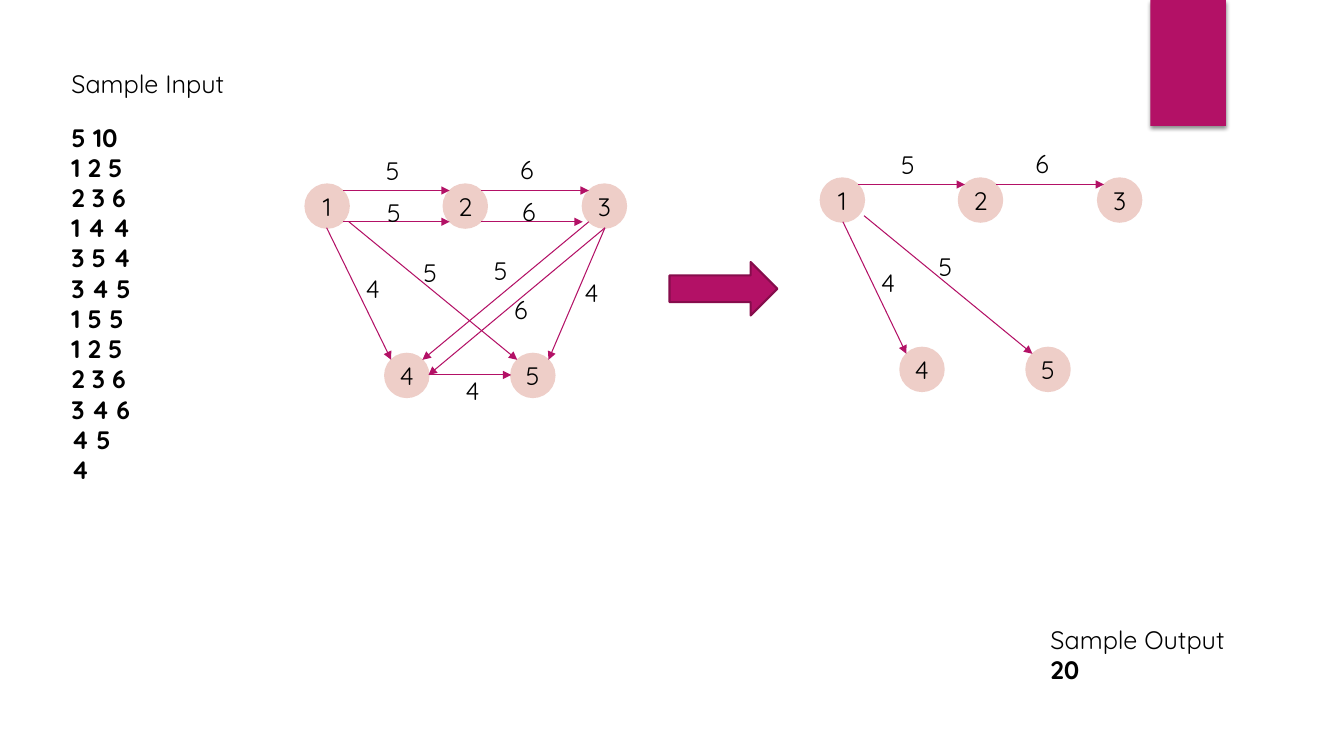
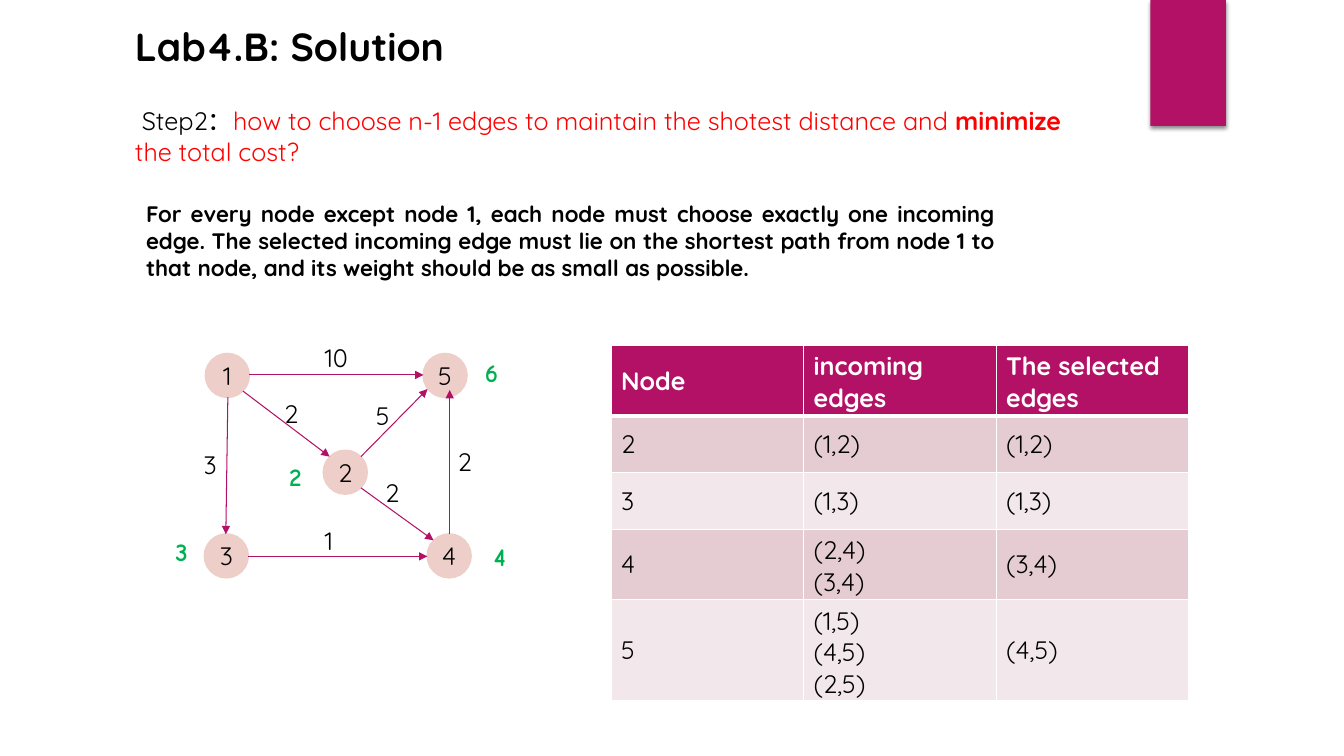
from dataclasses import dataclass

from lxml import etree
from pptx import Presentation
from pptx.dml.color import RGBColor
from pptx.enum.shapes import MSO_CONNECTOR, MSO_SHAPE
from pptx.enum.text import MSO_ANCHOR, PP_ALIGN
from pptx.oxml import parse_xml
from pptx.oxml.ns import nsdecls, qn
from pptx.slide import Slide
from pptx.util import Emu, Pt

PX = 9144  # EMU in one px, 100 px to the inch
RECT, OVAL, ARROW = MSO_SHAPE.RECTANGLE, MSO_SHAPE.OVAL, MSO_SHAPE.RIGHT_ARROW
LINE = MSO_CONNECTOR.STRAIGHT
MIDDLE, TOP = MSO_ANCHOR.MIDDLE, MSO_ANCHOR.TOP
LEFT, CENTER, JUSTIFY = PP_ALIGN.LEFT, PP_ALIGN.CENTER, PP_ALIGN.JUSTIFY


@dataclass(frozen=True)
class Theme:
    font: str = "Quicksand"
    hand: str = "Comic Neue"
    ink: str = "000000"
    white: str = "FFFFFF"
    berry: str = "B31166"
    dark: str = "860D4C"
    blush: str = "EECEC8"
    red: str = "FF0000"
    green: str = "00B050"
    bands: tuple[str, str] = ("E5CCD3", "F2E7EA")
    title: int = 28
    body: int = 18
    note: int = 16


T = Theme()


@dataclass(frozen=True)
class Box:
    x: int
    y: int
    w: int
    h: int

    def emu(self) -> list[Emu]:
        return [Emu(v * PX) for v in (self.x, self.y, self.w, self.h)]


@dataclass(frozen=True)
class Span:
    text: str
    color: str = T.ink
    bold: bool = False
    size: int = T.body
    font: str = T.font


@dataclass(frozen=True)
class Edge:
    """A weighted arrow between two node sites; x and y place its label."""
    start: str
    leave: str
    end: str
    enter: str
    cost: str
    x: int
    y: int


Para = list[Span]
Nodes = dict[str, tuple[int, int]]

SIZE = 43  # node diameter
DIAG = 0.71
SITES = {
    "n": (0, -1), "ne": (DIAG, -DIAG), "e": (1, 0), "se": (DIAG, DIAG),
    "s": (0, 1), "sw": (-DIAG, DIAG), "w": (-1, 0), "nw": (-DIAG, -DIAG),
    "low e": (1, DIAG), "low w": (-1, DIAG),
    "in s": (0.2, 0.67), "out sw": (-0.81, 0.63),
}

FLOW: Nodes = {"1": (303, 183), "2": (440, 183), "3": (578, 183),
               "4": (382, 351), "5": (507, 351)}
KEPT = [
    Edge("1", "s", "4", "nw", "4", 353, 266),
    Edge("1", "ne", "2", "nw", "5", 373, 149),
    Edge("2", "ne", "3", "nw", "6", 506, 148),
    Edge("1", "low e", "5", "nw", "5", 410, 250),
]
SPARE = [
    Edge("2", "se", "3", "low w", "6", 508, 190),
    Edge("3", "s", "5", "ne", "4", 570, 270),
    Edge("1", "se", "2", "sw", "5", 374, 191),
    Edge("3", "sw", "4", "ne", "5", 480, 248),
    Edge("3", "s", "4", "e", "6", 500, 287),
    Edge("4", "e", "5", "w", "4", 452, 367),
]
INPUT = ["5 10", "1 2 5", "2 3 6", "1 4 4", "3 5 4", "3 4 5",
         "1 5 5", "1 2 5", "2 3 6", "3 4 6", "4 5 4"]

PATHS: Nodes = {"1": (204, 351), "2": (321, 447), "3": (203, 530),
                "4": (424, 530), "5": (420, 351)}
ROADS = [
    Edge("2", "se", "4", "nw", "2", 372, 469),
    Edge("1", "se", "2", "nw", "2", 272, 390),
    Edge("1", "s", "3", "n", "3", 192, 441),
    Edge("3", "e", "4", "w", "1", 312, 516),
    Edge("1", "e", "5", "w", "10", 312, 335),
    Edge("4", "n", "5", "in s", "2", 444, 438),
    Edge("2", "ne", "5", "out sw", "5", 363, 392),
]
DISTS = [("3", 164, 527), ("4", 480, 532), ("6", 471, 350), ("2", 277, 453)]
CHOICE = [
    ("Node", "incoming edges", "The selected edges"),
    ("2", "(1,2)", "(1,2)"),
    ("3", "(1,3)", "(1,3)"),
    ("4", "(2,4)\n(3,4)", "(3,4)"),
    ("5", "(1,5)\n(4,5)\n(2,5)", "(4,5)"),
]


def rgb(color: str) -> RGBColor:
    return RGBColor.from_string(color)


def write(frame, paras: list[Para], align=LEFT) -> None:
    for i, spans in enumerate(paras):
        para = frame.paragraphs[0] if i == 0 else frame.add_paragraph()
        para.alignment = align
        for span in spans:
            run = para.add_run()
            run.text = span.text
            form = {"name": span.font, "size": Pt(span.size), "bold": span.bold}
            for key, value in form.items():
                setattr(run.font, key, value)
            run.font.color.rgb = rgb(span.color)


def text(slide: Slide, box: Box, paras: list[Para], align=LEFT, anchor=TOP) -> None:
    frame = slide.shapes.add_textbox(*box.emu()).text_frame
    frame.word_wrap = True
    frame.vertical_anchor = anchor
    write(frame, paras, align)


def solid(slide: Slide, kind, box: Box, fill: str, edge: str = ""):
    shape = slide.shapes.add_shape(kind, *box.emu())
    shape.shadow.inherit = False
    shape.fill.solid()
    shape.fill.fore_color.rgb = rgb(fill)
    if edge:
        shape.line.color.rgb = rgb(edge)
        shape.line.width = Pt(1.5)
    else:
        shape.line.fill.background()
    return shape


def tag(slide: Slide) -> None:
    """Draw the shadowed band at the top right that all slides share."""
    band = solid(slide, RECT, Box(1141, 0, 75, 125), T.berry)
    glow = band._element.spPr.find(qn("a:effectLst"))
    glow.append(parse_xml(
        f'<a:outerShdw {nsdecls("a")} blurRad="38100" dist="25400" dir="5400000" '
        'rotWithShape="0"><a:srgbClr val="000000"><a:alpha val="45000"/>'
        '</a:srgbClr></a:outerShdw>'))


def arrow(slide: Slide, start: tuple[int, int], end: tuple[int, int]) -> None:
    line = slide.shapes.add_connector(LINE, *[Emu(v * PX) for v in (*start, *end)])
    line.line.color.rgb = rgb(T.berry)
    line.line.width = Pt(0.75)
    etree.SubElement(line.line._get_or_add_ln(), qn("a:tailEnd"), type="triangle")
    etree.SubElement(line._element.spPr, qn("a:effectLst"))


def point(node: tuple[int, int], site: str) -> tuple[int, int]:
    dx, dy = SITES[site]
    half = SIZE / 2
    return round(node[0] + half * (1 + dx)), round(node[1] + half * (1 + dy))


def graph(slide: Slide, nodes: Nodes, edges: list[Edge], dx: int = 0, dy: int = 0) -> None:
    """Draw nodes, arrows and weights, all moved by dx and dy."""
    spots = {name: (x + dx, y + dy) for name, (x, y) in nodes.items()}
    for name, (x, y) in spots.items():
        disc = solid(slide, OVAL, Box(x, y, SIZE, SIZE), T.blush, T.blush)
        frame = disc.text_frame
        frame.vertical_anchor = MIDDLE
        for side in ("left", "right", "top", "bottom"):
            setattr(frame, f"margin_{side}", 0)
        write(frame, [[Span(name)]], CENTER)
    for edge in edges:
        arrow(slide, point(spots[edge.start], edge.leave),
              point(spots[edge.end], edge.enter))
        text(slide, Box(edge.x + dx, edge.y + dy, 49, 40), [[Span(edge.cost)]])


def border(cell, low: int) -> None:
    """Give a cell white rules, the bottom one low points wide."""
    props = cell._tc.get_or_add_tcPr()
    for side, width in {"L": 1, "R": 1, "T": 1, "B": low}.items():
        props.append(parse_xml(
            f'<a:ln{side} {nsdecls("a")} w="{Pt(width)}"><a:solidFill>'
            f'<a:srgbClr val="{T.white}"/></a:solidFill></a:ln{side}>'))


def grid(slide: Slide, box: Box, rows: list[tuple[str, ...]]) -> None:
    table = slide.shapes.add_table(len(rows), len(rows[0]), *box.emu()).table
    table.horz_banding = False
    for r, row in enumerate(rows):
        head = r == 0
        fill = T.berry if head else T.bands[(r - 1) % 2]
        for c, words in enumerate(row):
            cell = table.cell(r, c)
            border(cell, 3 if head else 1)
            cell.fill.solid()
            cell.fill.fore_color.rgb = rgb(fill)
            cell.vertical_anchor = MIDDLE
            color = T.white if head else T.ink
            write(cell.text_frame,
                  [[Span(part, color, head)] for part in words.split("\n")])


def sample(slide: Slide) -> None:
    text(slide, Box(61, 63, 189, 40), [[Span("Sample Input")]])
    text(slide, Box(61, 116, 81, 343), [[Span(row, bold=True)] for row in INPUT])
    graph(slide, FLOW, KEPT + SPARE)
    text(slide, Box(1032, 614, 202, 71),
         [[Span("Sample Output")], [Span("20", bold=True)]])
    graph(slide, FLOW, KEPT, 511, -6)
    solid(slide, ARROW, Box(664, 260, 107, 53), T.berry, T.dark)


def answer(slide: Slide) -> None:
    text(slide, Box(124, 100, 962, 71), [[
        Span(" Step2："),
        Span("how to choose n-1 edges to maintain the shotest distance and ", T.red),
        Span("minimize", T.red, True),
        Span(" the total cost?", T.red)]])
    text(slide, Box(124, 7, 1012, 77),
         [[Span("Lab4.B: Solution", bold=True, size=T.title)]], anchor=MIDDLE)
    graph(slide, PATHS, ROADS)
    for dist, x, y in DISTS:
        text(slide, Box(x, y, 69, 40), [[Span(dist, T.green, True, font=T.hand)]])
    text(slide, Box(135, 194, 862, 91), [[Span(
        "For every node except node 1, each node must choose exactly one incoming "
        "edge. The selected incoming edge must lie on the shortest path from node 1 "
        "to that node, and its weight should be as small as possible.",
        bold=True, size=T.note)]], JUSTIFY)
    grid(slide, Box(606, 343, 573, 280), CHOICE)


def main() -> None:
    deck = Presentation()
    deck.slide_width, deck.slide_height = Emu(1333 * PX), Emu(750 * PX)
    for draw in (sample, answer):
        slide = deck.slides.add_slide(deck.slide_layouts[6])
        tag(slide)
        draw(slide)
    deck.save("out.pptx")


if __name__ == "__main__":
    main()
